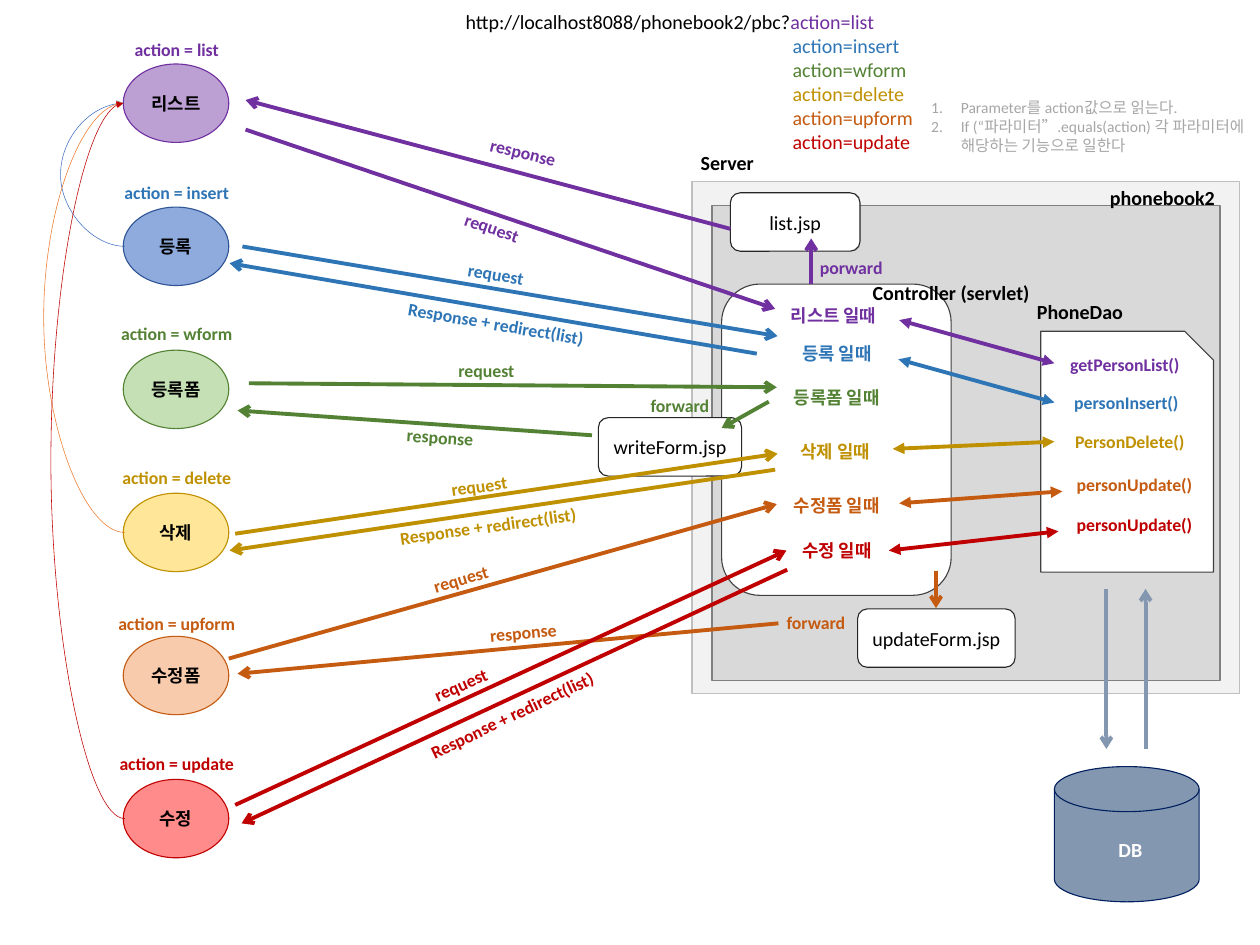
from dataclasses import dataclass
from typing import NamedTuple
from lxml import etree
from pptx import Presentation
from pptx import util as u
from pptx.dml.color import RGBColor
from pptx.enum import shapes, text
from pptx.oxml.ns import qn

CELL = u.Inches(0.1)
COLUMNS, ROWS = 157.5, 118.1
PURPLE, BLUE, GREEN = "7030A0", "2E75B6", "548235"
GOLD, ORANGE, RED = "BF9000", "C55A11", "C00000"
BLACK, WHITE, STEEL, GREY = "000000", "FFFFFF", "8497B0", "A6A6A6"
LEFT, CENTER = text.PP_ALIGN.LEFT, text.PP_ALIGN.CENTER
TOP, MIDDLE = text.MSO_ANCHOR.TOP, text.MSO_ANCHOR.MIDDLE
KIND, LINK = shapes.MSO_SHAPE, shapes.MSO_CONNECTOR

class Box(NamedTuple):
    col: float
    row: float
    cols: float
    rows: float

class Route(NamedTuple):
    col: float
    row: float
    end_col: float
    end_row: float

class Caption(NamedTuple):
    words: str
    center: float
    row: float
    turn: float = 0

class Panel(NamedTuple):
    kind: int
    box: Box
    fill: str
    line: str
    words: str = ""

class DaoCall(NamedTuple):
    method: str
    col: float
    row: float
    color: str
    route: Route

@dataclass
class Action:
    name: str
    korean: str
    color: str
    fill: str
    outline: str
    label_row: float
    branch: Caption
    arrows: list[Route]
    captions: list[Caption]

ACTIONS = [
    Action("list", "리스트", PURPLE, "BCA0D4", PURPLE, 4.4, Caption("리스트 일때", 104.2, 37.6),
           [Route(30.7, 16.2, 96.9, 38.6), Route(91.3, 28.6, 30.7, 12.5), Route(101.4, 35.5, 101.4, 29.8)],
           [Caption("request", 61.5, 26.6, 18.9), Caption("response", 65.4, 17.2, 13.8),
            Caption("porward", 106.4, 31.6)]),
    Action("insert", "등록", BLUE, "8FAADC", "2F5597", 22.2, Caption("등록 일때", 104.6, 42.4),
           [Route(30.3, 30.8, 97.2, 42), Route(94.6, 44.2, 28.7, 32.9)],
           [Caption("request", 62, 32.4, 9.7), Caption("Response + redirect(list)", 62, 38.6, 9.7)]),
    Action("wform", "등록폼", GREEN, "C5E0B4", GREEN, 39.8, Caption("등록폼 일때", 104.6, 47.9),
           [Route(31.1, 47.9, 97.1, 48.4), Route(96.1, 50.2, 90.2, 53.5), Route(74, 54.4, 29.7, 51.3)],
           [Caption("request", 60.8, 44.5), Caption("forward", 85, 48.9), Caption("response", 55, 52.8, 3.8)]),
    Action("delete", "삭제", GOLD, "FFE699", GOLD, 57.9, Caption("삭제 일때", 104.4, 54.6),
           [Route(29.4, 66.7, 97.2, 56.7), Route(96.9, 58.7, 28.7, 68.8)],
           [Caption("request", 59.9, 58.9, 352.1), Caption("Response + redirect(list)", 61, 63.9, 352.1)]),
    Action("upform", "수정폼", ORANGE, "F8CBAD", ORANGE, 76.1, Caption("수정폼 일때", 104.6, 61.4),
           [Route(28.6, 82.3, 97.1, 63), Route(117, 71.3, 117, 76), Route(97.3, 77.9, 29.7, 84.2)],
           [Caption("request", 57.6, 70.5, 343.2), Caption("forward", 102, 76),
            Caption("response", 65.4, 77.2, 354.7)]),
    Action("update", "수정", RED, "FF8B8B", RED, 93.6, Caption("수정 일때", 104.6, 67),
           [Route(29.4, 100.6, 98.3, 68.8), Route(98.4, 71.2, 30.2, 102.9)],
           [Caption("request", 57.6, 83.7, 336.2), Caption("Response + redirect(list)", 64, 87.5, 334.6)]),
]
DAO_CALLS = [
    DaoCall("getPersonList()", 132.8, 43.7, PURPLE, Route(112.4, 40, 131.8, 45.4)),
    DaoCall("personInsert()", 133.3, 48.5, BLUE, Route(112.3, 44.9, 131.8, 50.3)),
    DaoCall("PersonDelete()", 133.4, 53.3, GOLD, Route(111.6, 56.1, 131.8, 55.2)),
    DaoCall("personUpdate()", 133.6, 58.7, ORANGE, Route(112.4, 62.9, 132.8, 61.4)),
    DaoCall("personUpdate()", 133.6, 63.7, RED, Route(111.1, 68.8, 132.3, 66.4)),
]
PANELS = [
    Panel(KIND.RECTANGLE, Box(86.5, 22.7, 68.4, 64), "F2F2F2", "BFBFBF"),
    Panel(KIND.RECTANGLE, Box(89, 25.7, 63.5, 59.4), "D9D9D9", "808080"),
    Panel(KIND.SNIP_1_RECTANGLE, Box(130.1, 41.4, 21.6, 30.1), WHITE, "404040"),
    Panel(KIND.ROUNDED_RECTANGLE, Box(90.2, 35.5, 28.7, 38.9), WHITE, "404040"),
    Panel(KIND.FLOWCHART_MAGNETIC_DISK, Box(131.8, 95.8, 18.1, 16.9), STEEL, "002060"),
    Panel(KIND.ROUNDED_RECTANGLE, Box(91.3, 24.1, 16.2, 7.3), WHITE, "262626", "list.jsp"),
    Panel(KIND.ROUNDED_RECTANGLE, Box(74.8, 52.2, 17.9, 7.3), WHITE, "262626", "writeForm.jsp"),
    Panel(KIND.ROUNDED_RECTANGLE, Box(107.2, 76.1, 19.7, 7.3), WHITE, "262626", "updateForm.jsp"),
]
HEADINGS = [Caption("Server", 90.9, 18.3), Caption("phonebook2", 145.3, 22.7),
            Caption("PhoneDao", 135, 36.9), Caption("Controller (servlet)", 118.9, 34.6)]
DB_ROUTES = [Route(138.3, 73.6, 138.3, 93.6), Route(143.2, 93.6, 143.2, 73.6)]
RETURNS = [(1, 7.6, "4472C4"), (3, 5.5, "ED7D31"), (5, 6.4, RED)]
STATE, STATE_STEP = Box(15.4, 8, 13.2, 9.8), 17.88

def place(box: tuple) -> list[int]:
    return [round(CELL * length) for length in box]

def rgb(code: str) -> RGBColor:
    return RGBColor.from_string(code)

def write(target, *paragraphs, size=16, color=BLACK, bold=True, align=CENTER,
          anchor=TOP, wrap=False, numbered=False) -> None:
    frame = target.text_frame
    frame.word_wrap, frame.vertical_anchor = wrap, anchor
    frame.auto_size = text.MSO_AUTO_SIZE.NONE
    for index, content in enumerate(paragraphs):
        line = frame.add_paragraph() if index else frame.paragraphs[0]
        line.alignment, line.space_before = align, u.Pt(0)
        for words, shade in [(content, color)] if isinstance(content, str) else content:
            run = line.add_run()
            run.text = words
            run.font.name, run.font.size, run.font.bold = "Calibri", u.Pt(size), bold
            run.font.color.rgb = rgb(shade)
        if numbered:
            layout = line._p.get_or_add_pPr()
            layout.set("marL", str(u.Inches(0.37)))
            layout.set("indent", str(-u.Inches(0.37)))
            etree.SubElement(layout, qn("a:buAutoNum"), type="arabicPeriod")

def caption(item: Caption, cols: float = 17, **style) -> None:
    area = slide.shapes.add_textbox(*place((item.center - cols / 2, item.row, cols, 3.7)))
    area.rotation = item.turn
    write(area, item.words, **style)

def left_text(words: str, col: float, row: float, **style) -> None:
    area = slide.shapes.add_textbox(*place((col, row, 19, 3.8)))
    write(area, words, align=LEFT, wrap=True, **style)

def panel(item: Panel, **style) -> None:
    body = slide.shapes.add_shape(item.kind, *place(item.box))
    body.shadow.inherit = False
    body.fill.solid()
    body.fill.fore_color.rgb = rgb(item.fill)
    body.line.color.rgb, body.line.width = rgb(item.line), u.Pt(1)
    if item.words:
        write(body, item.words, anchor=MIDDLE, **style)

def arrow(route: Route, color: str, tail="arrow", head="none", width=3.5, kind=LINK.STRAIGHT):
    link = slide.shapes.add_connector(kind, *place(route))
    link.line.color.rgb, link.line.width = rgb(color), u.Pt(width)
    for end, tip in (("a:headEnd", head), ("a:tailEnd", tail)):
        etree.SubElement(link.line._get_or_add_ln(), qn(end), type=tip)
    etree.SubElement(link._element.spPr, qn("a:effectLst"))
    return link

def return_curve(start: int, reach: float, color: str) -> None:
    goal, span = STATE.row + STATE.rows / 2, 0.2
    link = arrow(Route(STATE.col, goal, STATE.col + span, goal + start * STATE_STEP), color,
                 tail="triangle", width=0.5, kind=LINK.CURVE)
    properties = link._element.spPr
    properties.find(qn("a:xfrm")).set("rot", str(180 * 60000))
    bend = round((STATE.col + span - reach) / span * 100000)
    guides = properties.find(qn("a:prstGeom")).find(qn("a:avLst"))
    etree.SubElement(guides, qn("a:gd"), name="adj1", fmla=f"val {bend}")

deck = Presentation()
deck.slide_width, deck.slide_height = place((COLUMNS, ROWS))
slide = deck.slides.add_slide(deck.slide_layouts[1])
address, steps = slide.placeholders
for holder, box in [(address, Box(57.2, 0.7, 56, 4)), (steps, Box(115.4, 11.8, 42.1, 10.4))]:
    holder.left, holder.top, holder.width, holder.height = place(box)
write(address, [("http://localhost8088/phonebook2/pbc?", BLACK), ("action=list", PURPLE)],
      size=18, bold=False, align=LEFT, wrap=True)
write(steps, "Parameter를 action값으로 읽는다.",
      "If (“파라미터”.equals(action) 각 파라미터에 해당하는 기능으로 일한다",
      size=14, color=GREY, bold=False, align=LEFT, wrap=True, numbered=True)
steps.text_frame.margin_right = 0
for part in PANELS:
    panel(part, size=18, bold=False)
for heading in HEADINGS:
    caption(heading, size=18)
caption(Caption("DB", 141.3, 104.2), size=18, color=WHITE)
for db_route in DB_ROUTES:
    arrow(db_route, STEEL)
for order, action in enumerate(ACTIONS):
    state = STATE._replace(row=STATE.row + order * STATE_STEP)
    panel(Panel(KIND.OVAL, state, action.fill, action.outline, action.korean))
    for note in [Caption(f"action = {action.name}", 22.1, action.label_row), action.branch, *action.captions]:
        caption(note, color=action.color)
    for step in action.arrows:
        arrow(step, action.color)
    if order:
        left_text(f"action={action.name}", 98.1, 0.7 + 3 * order, size=18, color=action.color, bold=False)
for call in DAO_CALLS:
    left_text(call.method, call.col, call.row, color=call.color)
    arrow(call.route, call.color, tail="triangle", head="triangle")
for curve in RETURNS:
    return_curve(*curve)
deck.save("out.pptx")
